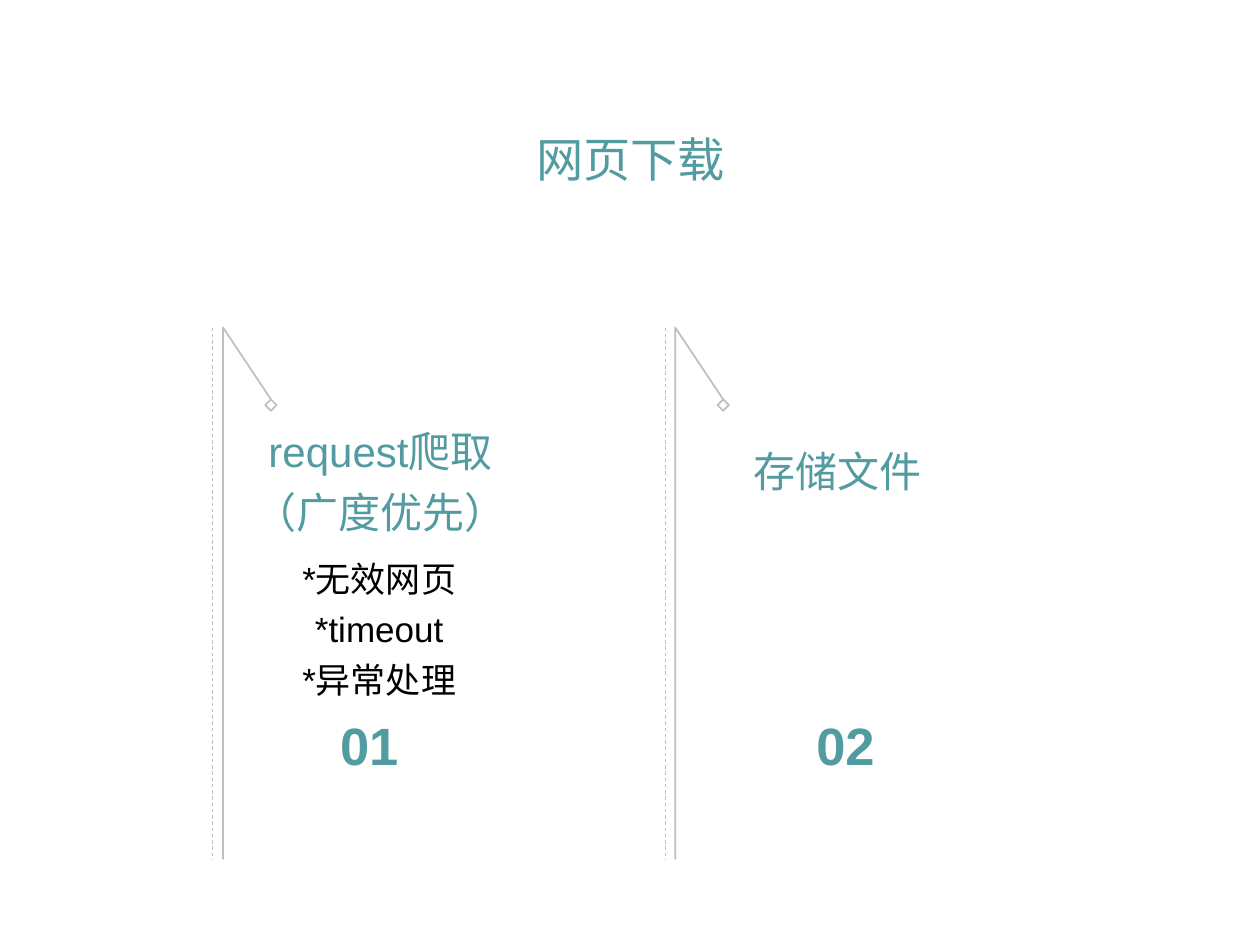
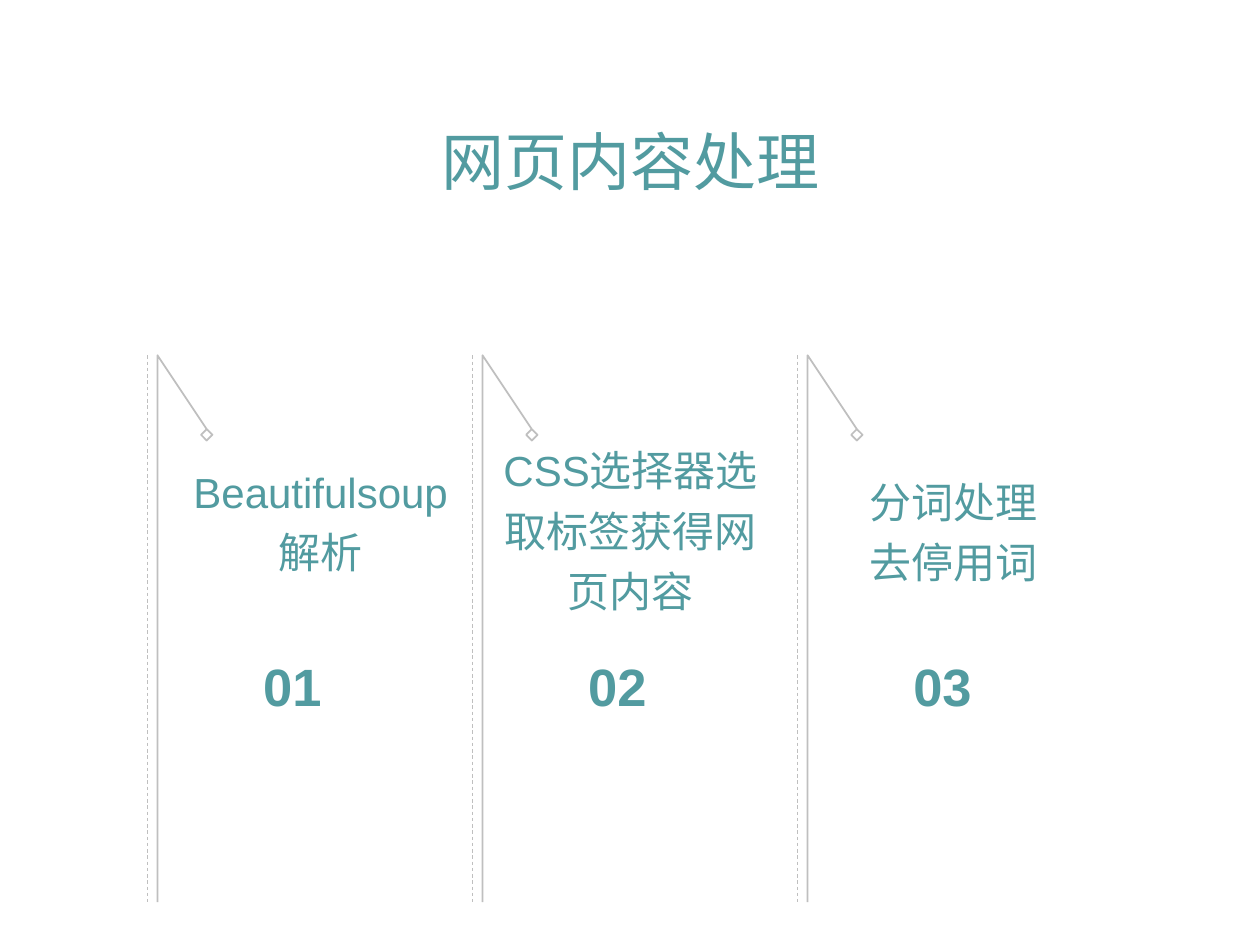
from dataclasses import dataclass
from lxml.etree import SubElement
from pptx import Presentation
from pptx.dml.color import RGBColor
from pptx.enum.dml import MSO_LINE
from pptx.enum.shapes import MSO_CONNECTOR, MSO_SHAPE
from pptx.enum.text import MSO_ANCHOR, MSO_AUTO_SIZE, PP_ALIGN
from pptx.oxml.ns import qn
from pptx.util import Inches, Pt

FONT = "Arial"
TEAL, GREY, BLACK = "529BA0", "BFBFBF", "000000"
TITLE_ONLY = 5
RAIL_GAP = 0.08
DIAMOND = 0.09


@dataclass
class Flags:
    """Grid of flagpoles on one slide, in inches."""
    left: float
    pitch: float
    top: float
    height: float
    number_top: float
    text_width: float


@dataclass
class Step:
    """One step; text and number shifts are measured from its pole."""
    label: list
    label_shift: float
    label_top: float
    number_shift: float
    notes: tuple = ()


def color(value):
    """Turn a hex string into a colour."""
    return RGBColor.from_string(value)


def style_line(shape, width, dash=None):
    """Draw a grey outline of the given width."""
    shape.line.color.rgb = color(GREY)
    shape.line.width = Pt(width)
    if dash:
        shape.line.dash_style = dash


def write(frame, lines, size, ink=TEAL, bold=False, align=PP_ALIGN.CENTER):
    """Fill a text frame with one paragraph per line."""
    frame.word_wrap = True
    frame.text = "\n".join(lines)
    for para in frame.paragraphs:
        para.alignment = align
        para.line_spacing = 1.2
        para.space_before = Pt(0)
        for span in para.runs:
            span.font.name = FONT
            span.font.size = Pt(size)
            span.font.bold = bold
            span.font.color.rgb = color(ink)


def add_text(group, left, top, width, height, lines, size, **look):
    """Add a text box that grows with its text."""
    box = group.shapes.add_textbox(*map(Inches, (left, top, width, height)))
    write(box.text_frame, lines, size, **look)
    box.text_frame.auto_size = MSO_AUTO_SIZE.SHAPE_TO_FIT_TEXT


def add_title(page, text, size):
    """Place and format the title placeholder."""
    title = page.shapes.title
    title.left, title.top, title.width, title.height = map(Inches, (0.69, 0.89, 8.63, 0.65))
    frame = title.text_frame
    frame.margin_left = frame.margin_right = Inches(0.08)
    frame.margin_top = frame.margin_bottom = Inches(0.04)
    frame.vertical_anchor = MSO_ANCHOR.MIDDLE
    frame.auto_size = MSO_AUTO_SIZE.NONE
    write(frame, [text], size)


def add_flag(group, left, top, height):
    """Draw a pole with its hook, dashed rail and diamond."""
    reach = height * 0.09
    drop = reach * 1.5
    bottom = top + height
    corners = [(Inches(x), Inches(y)) for x, y in
               ((left, bottom), (left, top), (left + reach, top + drop))]
    builder = group.shapes.build_freeform(*corners[0])
    builder.add_line_segments(corners[1:], close=False)
    pole = builder.convert_to_shape()
    rail = group.shapes.add_connector(
        MSO_CONNECTOR.STRAIGHT,
        *map(Inches, (left - RAIL_GAP, top, left - RAIL_GAP, bottom)))
    SubElement(rail.element.spPr, qn("a:effectLst"))
    style_line(rail, 0.5, MSO_LINE.DASH)
    diamond = group.shapes.add_shape(
        MSO_SHAPE.DIAMOND,
        *map(Inches, (left + reach - DIAMOND / 2, top + drop, DIAMOND, DIAMOND)))
    for shape in (pole, diamond):
        shape.shadow.inherit = False
        shape.fill.background()
        style_line(shape, 1)


def add_step(page, flags, index, step):
    """Add one numbered step with its flag and texts."""
    group = page.shapes.add_group_shape()
    left = flags.left + index * flags.pitch
    add_flag(group, left, flags.top, flags.height)
    add_text(group, left + step.number_shift, flags.number_top, 0.82, 0.7,
             [f"{index + 1:02}"], 30, bold=True, align=PP_ALIGN.LEFT)
    add_text(group, left + step.label_shift, step.label_top, flags.text_width, 1.06,
             step.label, 24)
    if step.notes:
        add_text(group, left + 0.11, 4.31, 2.26, 1.3, step.notes, 20, ink=BLACK)


def add_page(deck, title, size, flags, steps):
    """Add a slide with a title and a row of steps."""
    page = deck.slides.add_slide(deck.slide_layouts[TITLE_ONLY])
    add_title(page, title, size)
    for index, step in enumerate(steps):
        add_step(page, flags, index, step)


def main():
    """Build and save the deck."""
    deck = Presentation()
    deck.slide_width, deck.slide_height = Inches(10), Inches(7.5)
    add_page(deck, "网页下载", 27, Flags(1.77, 3.59, 2.6, 4.22, 5.51, 2.22), [
        Step(["request爬取", "（广度优先）"], 0.14, 3.25, 0.83,
             ("*无效网页*timeout", "*异常处理")),
        Step(["存储文件"], 0.18, 3.41, 1.02),
    ])
    add_page(deck, "网页内容处理", 36, Flags(1.25, 2.58, 2.82, 4.34, 5.04, 2.29), [
        Step(["Beautifulsoup解析"], 0.15, 3.57, 0.74),
        Step(["CSS选择器选取标签获得网页内容"], 0.03, 3.4, 0.74),
        Step(["分词处理", "去停用词"], 0.01, 3.65, 0.74),
    ])
    deck.save("out.pptx")


if __name__ == "__main__":
    main()
